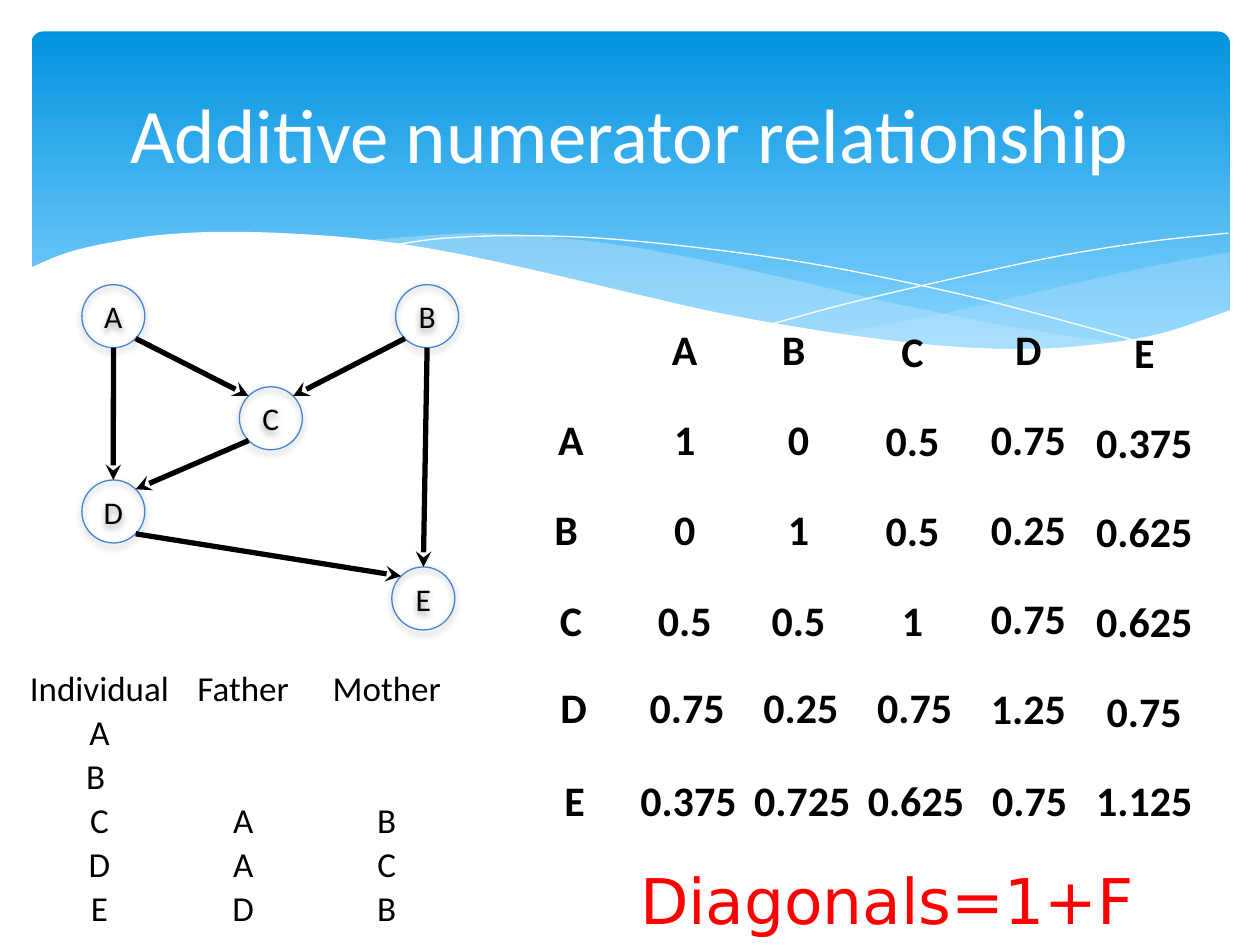
from math import cos, pi, sin

from lxml.etree import SubElement
from pptx import Presentation
from pptx.dml.color import RGBColor
from pptx.enum.shapes import MSO_CONNECTOR, MSO_SHAPE
from pptx.enum.text import MSO_ANCHOR, PP_ALIGN
from pptx.oxml.ns import qn
from pptx.util import Inches, Pt

WIDTH, HEIGHT = 10, 7.5
COLORS = {
    "sky": "0293E0", "pale_sky": "83D3FE", "wave": "C6E7FC", "ring": "4584D3",
    "white": "FFFFFF", "black": "000000", "red": "FF0000",
}
PLAIN_TABLE = "{2D5ABB26-0587-4C30-8999-92F81FD0307C}"
CELL_WIDTH, CELL_HEIGHT = 0.903, 0.712
DIAMETER = 0.5
TOP, TOP_LEFT, BOTTOM_LEFT, BOTTOM, BOTTOM_RIGHT, TOP_RIGHT = (
    angle * pi / 4 for angle in (6, 5, 3, 2, 1, 7))

NODES = {"A": (0.65, 2.26), "B": (3.14, 2.26), "C": (1.9, 3.07),
         "D": (0.65, 3.81), "E": (3.11, 4.5)}
ARROWS = [
    ("A", BOTTOM_RIGHT, "C", TOP_LEFT), ("B", BOTTOM_LEFT, "C", TOP_RIGHT),
    ("A", BOTTOM, "D", TOP), ("C", BOTTOM_LEFT, "D", TOP_RIGHT),
    ("D", BOTTOM_RIGHT, "E", TOP_LEFT), ("B", BOTTOM, "E", TOP),
]
PEDIGREE = [["Individual", "Father", "Mother"], ["A", "", ""], ["B ", "", ""],
            ["C", "A", "B"], ["D", "A", "C"], ["E", "D", "B"]]
MATRIX_PARTS = [
    (4.08, 2.43, [["", "A", "B "], ["A", "1", "0"], ["B ", "0", "1"]]),
    (6.79, 2.44, [["C"], ["0.5"], ["0.5"], ["1"]]),
    (4.08, 4.58, [["C", "0.5", "0.5"]]),
    (7.71, 2.43, [["D"], ["0.75"], ["0.25"], ["0.75"], ["1.25"]]),
    (4.1, 5.27, [["D", "0.75", "0.25", "0.75"]]),
    (8.63, 2.45, [["E"], ["0.375"], ["0.625"], ["0.625"], ["0.75"], ["1.125"]]),
    (4.11, 6.01, [["E", "0.375", "0.725", "0.625", "0.75"]]),
]

RIGHT_WAVE = [(9.76, 2), (9.21, 2.1), (8.61, 2.23), (7.53, 2.48), (6.61, 2.65)]
RIGHT_WAVE_BASE = [(6.61, 2.65), (7.19, 2.72), (8.03, 2.78), (8.81, 2.73), (9.35, 2.62), (9.76, 2.47)]
MIDDLE_WAVE = [(8.93, 2.73), (8.07, 2.6), (7.06, 2.4), (6.29, 2.22), (5.41, 2.03),
               (4.65, 1.91), (3.8, 1.85), (2.86, 1.91)]
MIDDLE_WAVE_BASE = [(2.86, 1.91), (3.62, 2.03), (4.49, 2.22), (5.3, 2.4), (6.18, 2.58),
                    (6.95, 2.7), (7.73, 2.77), (8.28, 2.78), (8.93, 2.73)]
FALLING_LINE = [(3.09, 1.95), (3.53, 1.89), (4.16, 1.87), (4.89, 1.9), (5.82, 2),
                (6.65, 2.13), (7.6, 2.33), (8.31, 2.51), (9.07, 2.72)]
RISING_LINE = [(6.13, 2.57), (6.72, 2.41), (7.48, 2.23), (8.36, 2.04), (9.1, 1.92), (9.75, 1.85)]
FRONT_WAVE = [(9.77, 2.46), (9.2, 2.65), (8.63, 2.74), (8.09, 2.77), (7.44, 2.74), (6.68, 2.65),
              (5.79, 2.5), (5.03, 2.33), (4.18, 2.13), (3.4, 1.97), (2.71, 1.88), (1.93, 1.84),
              (1.32, 1.86), (0.85, 1.93), (0.52, 2.01), (0.23, 2.13)]


def color(name):
    return RGBColor.from_string(COLORS[name])


def assign(target, values):
    for name, value in values.items():
        setattr(target, name, value)


def add_element(parent, tag, **attributes):
    return SubElement(parent, qn(tag), {key: str(value) for key, value in attributes.items()})


def write(frame, text, size, color_name="black", font="Calibri", bold=False):
    para = frame.paragraphs[0]
    para.alignment = PP_ALIGN.CENTER
    if text:
        span = para.add_run()
        span.text = text
        assign(span.font, {"name": font, "size": Pt(size), "bold": bold})
        span.font.color.rgb = color(color_name)


def smooth(knots, steps=6):
    padded = [knots[0], *knots, knots[-1]]
    points = [knots[0]]
    for before, start, end, after in zip(padded, padded[1:], padded[2:], padded[3:]):
        for step in range(1, steps + 1):
            t = step / steps
            points.append(tuple(
                (2 * b + (c - a) * t + (2 * a - 5 * b + 4 * c - d) * t ** 2
                 + (3 * b - a - 3 * c + d) * t ** 3) / 2
                for a, b, c, d in zip(before, start, end, after)))
    return points


def add_outline(page, points, fill=None, opacity=100):
    corners = [(Inches(x), Inches(y)) for x, y in points]
    builder = page.shapes.build_freeform(*corners[0], scale=1.0)
    builder.add_line_segments(corners[1:], close=fill is not None)
    shape = builder.convert_to_shape()
    shape.shadow.inherit = False
    if fill:
        shape.fill.solid()
        shape.fill.fore_color.rgb = color(fill)
        shape.line.fill.background()
        if opacity < 100:
            add_element(shape.fill._xPr.find(".//" + qn("a:srgbClr")), "a:alpha", val=opacity * 1000)
    else:
        shape.fill.background()
        shape.line.color.rgb = color("white")
        shape.line.width = 0


def add_banner(page):
    margin = 0.025 * WIDTH
    banner = page.shapes.add_shape(MSO_SHAPE.ROUNDED_RECTANGLE, Inches(margin), Inches(margin),
                                   Inches(0.951 * WIDTH), Inches(0.36 * HEIGHT))
    banner.adjustments[0] = 0.034
    banner.shadow.inherit = False
    banner.line.fill.background()
    banner.fill.gradient()
    banner.fill.gradient_angle = 270
    for stop, name, position in zip(banner.fill.gradient_stops, ("sky", "pale_sky"), (0, 0.9)):
        stop.color.rgb = color(name)
        stop.position = position
    add_outline(page, smooth(RIGHT_WAVE) + smooth(RIGHT_WAVE_BASE), "wave", 29)
    add_outline(page, smooth(MIDDLE_WAVE) + smooth(MIDDLE_WAVE_BASE), "wave", 40)
    add_outline(page, smooth(FALLING_LINE))
    add_outline(page, smooth(RISING_LINE))
    add_outline(page, smooth(FRONT_WAVE) + [(0.23, 3.29), (9.77, 3.29)], "white")


def add_text(page, place, text, anchor=MSO_ANCHOR.TOP, **style):
    box = page.shapes.add_textbox(*map(Inches, place))
    assign(box.text_frame, {"word_wrap": True, "vertical_anchor": anchor})
    write(box.text_frame, text, **style)


def add_node(page, name):
    left, top = NODES[name]
    node = page.shapes.add_shape(MSO_SHAPE.OVAL, *map(Inches, (left, top, DIAMETER, DIAMETER)))
    node.fill.background()
    node.line.color.rgb = color("ring")
    node.line.width = Pt(0.75)
    node.shadow.inherit = False
    shadow = add_element(node._element.spPr.find(qn("a:effectLst")), "a:outerShdw",
                         blurRad=Pt(4), dist=Pt(2), dir=90 * 60000, rotWithShape=0)
    shade = add_element(shadow, "a:srgbClr", val=COLORS["black"])
    add_element(shade, "a:alpha", val=38000)
    node.text_frame.vertical_anchor = MSO_ANCHOR.MIDDLE
    write(node.text_frame, name, 18)


def rim_point(name, angle):
    left, top = NODES[name]
    radius = DIAMETER / 2
    return Inches(left + radius * (1 + cos(angle))), Inches(top + radius * (1 + sin(angle)))


def add_arrow(page, parent, exit_angle, child, entry_angle):
    arrow = page.shapes.add_connector(MSO_CONNECTOR.STRAIGHT, *rim_point(parent, exit_angle),
                                      *rim_point(child, entry_angle))
    arrow.line.color.rgb = color("black")
    arrow.line.width = Pt(3)
    add_element(arrow.line._get_or_add_ln(), "a:tailEnd", type="stealth")
    add_element(arrow._element.spPr, "a:effectLst")


def add_grid(page, left, top, rows, cell_width, cell_height, anchor, **style):
    count = len(rows[0])
    frame = page.shapes.add_table(len(rows), count, *map(Inches, (
        left, top, count * cell_width, len(rows) * cell_height)))
    table = frame.table
    assign(table, {"first_row": False, "horz_banding": False})
    table._tbl.tblPr.find(qn("a:tableStyleId")).text = PLAIN_TABLE
    edge = Inches(0.01)
    for row_index, row in enumerate(rows):
        for column_index, text in enumerate(row):
            cell = table.cell(row_index, column_index)
            assign(cell, {"margin_left": edge, "margin_right": edge, "margin_top": edge,
                          "margin_bottom": 0, "vertical_anchor": anchor})
            cell.fill.background()
            write(cell.text_frame, text, **style)


def main():
    deck = Presentation()
    assign(deck, {"slide_width": Inches(WIDTH), "slide_height": Inches(HEIGHT)})
    page = deck.slides.add_slide(deck.slide_layouts[6])
    add_banner(page)
    add_text(page, (0.05 * WIDTH, 0.37, 0.9 * WIDTH, 1.37), "Additive numerator relationship",
             MSO_ANCHOR.MIDDLE, size=44, color_name="white")
    for name in NODES:
        add_node(page, name)
    for arrow in ARROWS:
        add_arrow(page, *arrow)
    add_grid(page, 0.22, 5.29, PEDIGREE, 1.14, 0.35, MSO_ANCHOR.BOTTOM, size=20)
    for left, top, rows in MATRIX_PARTS:
        add_grid(page, left, top, rows, CELL_WIDTH, CELL_HEIGHT, MSO_ANCHOR.MIDDLE, size=24, bold=True)
    add_text(page, (4.08, 6.79, 5.92, 0.71), "Diagonals=1+F",
             size=36, color_name="red", font="DejaVu Sans")
    deck.save("out.pptx")


if __name__ == "__main__":
    main()
